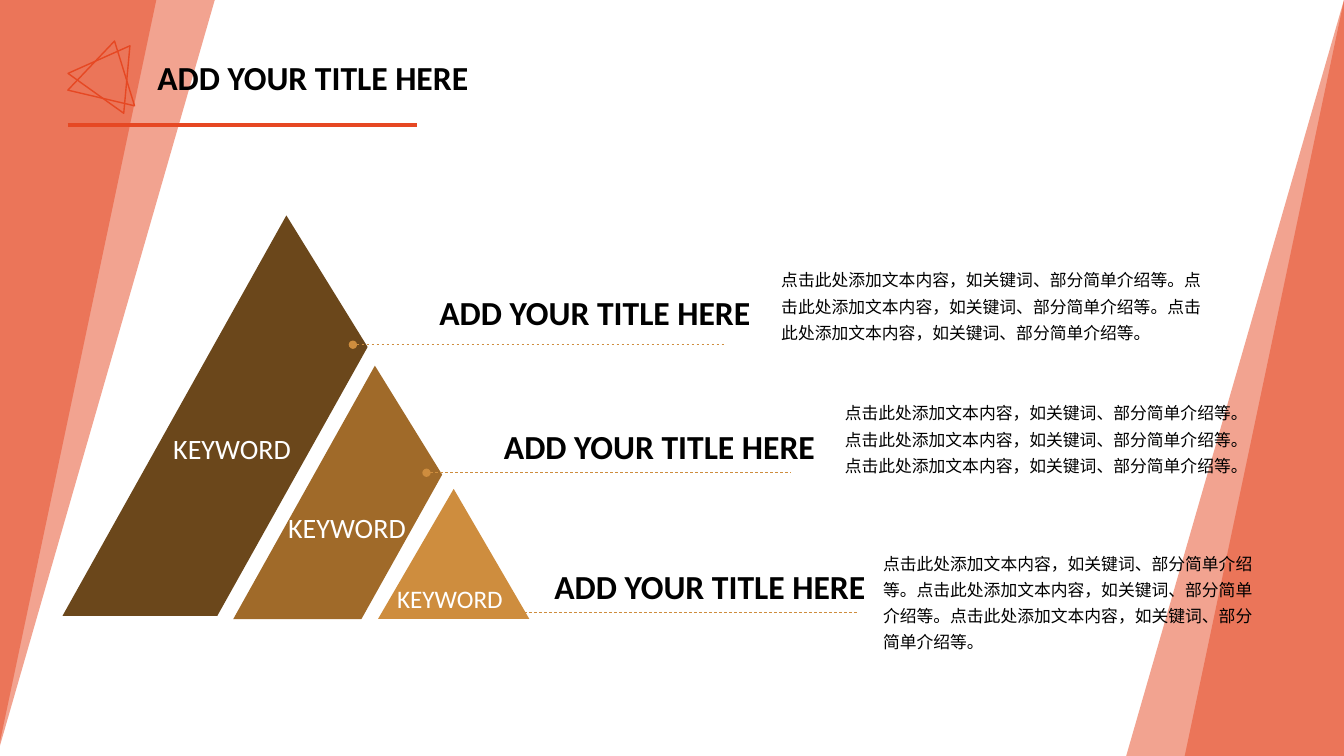
from pptx import Presentation
from pptx.dml.color import RGBColor
from pptx.enum.dml import MSO_LINE_DASH_STYLE as DASH
from pptx.enum.shapes import MSO_CONNECTOR, MSO_SHAPE as SHAPE
from pptx.enum.text import MSO_ANCHOR as ANCHOR, MSO_AUTO_SIZE as AUTO_SIZE, PP_ALIGN as ALIGN
from pptx.oxml.ns import qn
from pptx.util import Emu, Pt
from lxml.etree import SubElement

PX = 9144  # 100 px to the inch
ORANGE = RGBColor(0xE6, 0x48, 0x23)
DARK_BROWN = RGBColor(0x6B, 0x47, 0x1B)
BROWN = RGBColor(0xA0, 0x6A, 0x29)
GOLD = RGBColor(0xCE, 0x8D, 0x3E)
BLACK = RGBColor(0, 0, 0)
WHITE = RGBColor(255, 255, 255)

HEADING = "ADD YOUR TITLE HERE"
BODY = "点击此处添加文本内容，如关键词、部分简单介绍等。" * 3

# left, top, width, turn of the side triangles
SIDE_BANDS = [(-3, 0, 158, 750, 180), (-3, 0, 216, 750, 180),
              (1175, 0, 158, 750, 0), (1117, 0, 216, 750, 0)]
EMBLEM = [(78, 40, 68, 58, 35.6), (73, 40, 68, 58, 13.2)]
PYRAMID = [(SHAPE.ISOSCELES_TRIANGLE, (375, 485, 150, 129, 0), GOLD, None),
           (SHAPE.TRAPEZOID, (206, 460, 288, 111, 119.2), BROWN, 0.557),
           (SHAPE.TRAPEZOID, (4, 378, 455, 134, 119.2), DARK_BROWN, 0.557)]
KEYWORDS = [((162, 423, 147, 44), 20), ((276, 502, 147, 44), 20), ((384, 574, 147, 40), 18)]
LEADERS = [(350, 719, 342), (423, 785, 469), (506, 850, 608)]
HEADINGS = [(426, 285), (490, 418), (540, 557)]
BODIES = [(765, 257, 442, 89), (828, 389, 412, 115), (866, 538, 397, 115)]


def scaled(*lengths):
    return [Emu(length * PX) for length in lengths]


def write(box, text, size, color=BLACK, bold=False, spacing=1.0, anchor=ANCHOR.TOP):
    frame = box.text_frame
    frame.word_wrap = True
    frame.auto_size = AUTO_SIZE.NONE
    frame.vertical_anchor = anchor
    para = frame.paragraphs[0]
    para.alignment = ALIGN.LEFT
    para.line_spacing = spacing
    span = para.add_run()
    span.text = text
    span.font.name = "Calibri"
    span.font.size = Pt(size)
    span.font.bold = bold
    span.font.color.rgb = color


def add_text(page, place, text, size, **style):
    write(page.shapes.add_textbox(*scaled(*place)), text, size, **style)


def add_figure(page, kind, place, fill=None, line=None, adjust=None, opacity=100):
    """Add a preset shape; place is left, top, width, height and rotation."""
    *frame, turn = place
    figure = page.shapes.add_shape(kind, *scaled(*frame))
    figure.rotation = turn
    figure.shadow.inherit = False
    if adjust is not None:
        figure.adjustments[0] = adjust
    if fill is None:
        figure.fill.background()
    else:
        figure.fill.solid()
        figure.fill.fore_color.rgb = fill
    if opacity < 100:
        for color in figure.element.spPr.iter(qn("a:srgbClr")):
            SubElement(color, qn("a:alpha"), val=str(opacity * 1000))
    if line is None:
        figure.line.fill.background()
    else:
        figure.line.color.rgb = line
        figure.line.width = Pt(1)


def add_rule(page, left, right, y, color, width, dotted=False):
    """Add a level line; a dotted one is dashed and starts with a dot."""
    rule = page.shapes.add_connector(MSO_CONNECTOR.STRAIGHT, *scaled(left, y, right, y))
    rule.line.color.rgb = color
    rule.line.width = Pt(width)
    if dotted:
        rule.line.dash_style = DASH.DASH
        SubElement(rule.line._get_or_add_ln(), qn("a:headEnd"), type="oval")
    SubElement(rule.element.spPr, qn("a:effectLst"))
    return rule


def add_title(page, below):
    """Fill the title placeholder and stack it just above the given shape."""
    title = page.shapes.title
    title.left, title.top, title.width, title.height = scaled(146, 57, 333, 43)
    write(title, HEADING, 24, bold=True, spacing=0.9, anchor=ANCHOR.MIDDLE)
    below.element.addnext(title.element)


def main():
    deck = Presentation()
    deck.slide_width, deck.slide_height = scaled(1333, 750)
    page = deck.slides.add_slide(deck.slide_layouts[5])

    for place in SIDE_BANDS:
        add_figure(page, SHAPE.ISOSCELES_TRIANGLE, place, fill=ORANGE, adjust=1, opacity=50)
    for place in EMBLEM:
        add_figure(page, SHAPE.ISOSCELES_TRIANGLE, place, line=ORANGE)
    underline = add_rule(page, 67, 414, 124, ORANGE, 3)
    add_title(page, underline)

    for kind, place, color, adjust in PYRAMID:
        add_figure(page, kind, place, fill=color, adjust=adjust)
    for place, size in KEYWORDS:
        add_text(page, place, "KEYWORD", size, color=WHITE)
    for left, right, y in LEADERS:
        add_rule(page, left, right, y, GOLD, 0.5, dotted=True)
    for left, top in HEADINGS:
        add_text(page, (left, top, 360, 50), HEADING, 24, bold=True)
    for place in BODIES:
        add_text(page, place, BODY, 12, spacing=1.3)

    deck.save("out.pptx")


if __name__ == "__main__":
    main()
